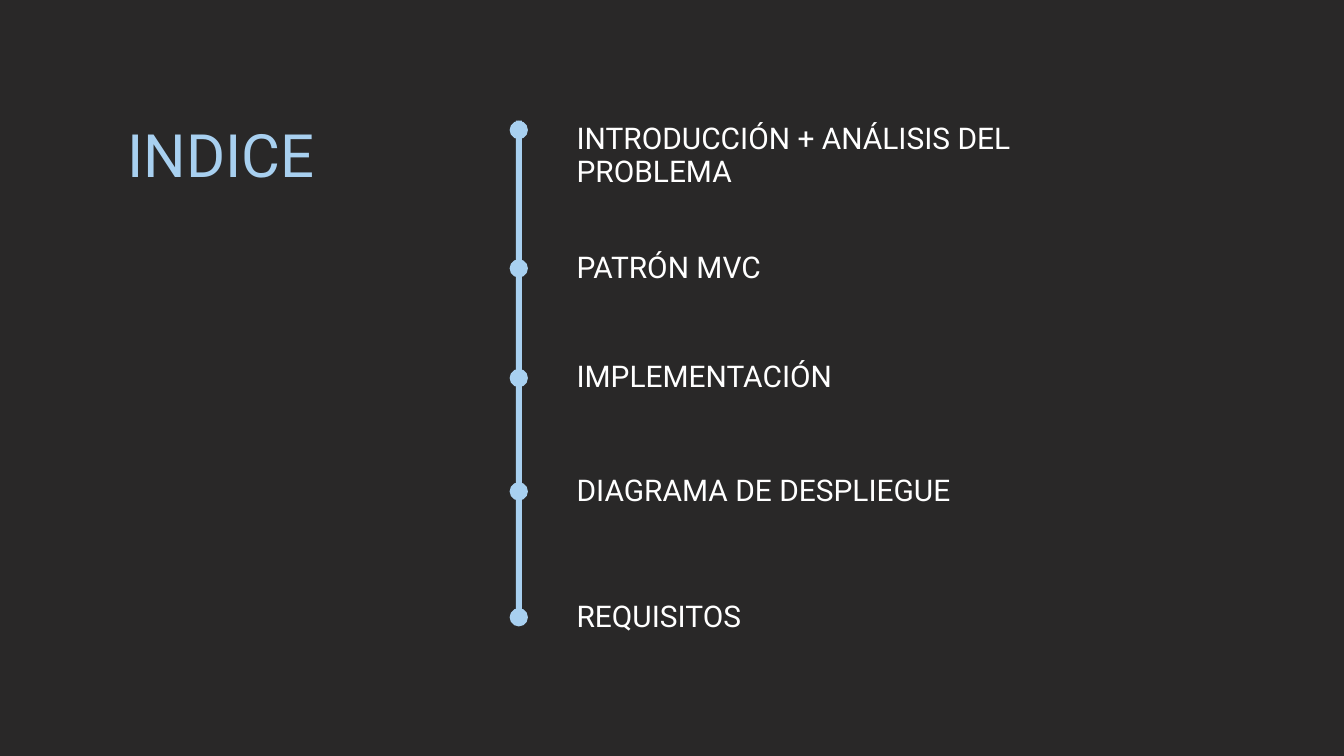
from dataclasses import dataclass

from pptx import Presentation
from pptx import util as u
from pptx.dml.color import RGBColor
from pptx.enum import shapes, text

COLORS = {"background": "292828", "accent": "A8D0F0", "label": "FFFFFF"}
FONT = "Roboto"
WIDTH, HEIGHT = u.Inches(20), u.Inches(11.25)

AXIS_X = 38.6
LABEL_X, LABEL_W, LINE_H = 42.9, 42.3, 4.5
BAR_W, BAR_TOP, BAR_H = 0.45, 15.95, 65.6
DOT_W, DOT_H = 1.36, 2.42


@dataclass
class Stop:
    label: str
    y: float
    lines: int = 1
    drop: float = 0


STOPS = [
    Stop("INTRODUCCIÓN + ANÁLISIS DEL PROBLEMA", 17.2, lines=2, drop=1.25),
    Stop("PATRÓN MVC", 35.5),
    Stop("IMPLEMENTACIÓN", 50),
    Stop("DIAGRAMA DE DESPLIEGUE", 65),
    Stop("REQUISITOS", 81.65),
]


def box(x: float, y: float, w: float, h: float) -> tuple:
    """Turns percentages of the slide into lengths."""
    return (int(WIDTH * x / 100), int(HEIGHT * y / 100),
            int(WIDTH * w / 100), int(HEIGHT * h / 100))


def write(sp, content: str, size: float, color: str) -> None:
    tf = sp.text_frame
    tf.text = content
    tf.word_wrap = True
    tf.auto_size = text.MSO_AUTO_SIZE.NONE
    tf.vertical_anchor = text.MSO_ANCHOR.TOP
    tf.margin_left = tf.margin_right = tf.margin_top = tf.margin_bottom = 0
    p = tf.paragraphs[0]
    p.alignment = text.PP_ALIGN.LEFT
    p.line_spacing = u.Pt(size * 1.1)
    p.space_before = u.Pt(0)
    r = p.runs[0]
    r.font.name = FONT
    r.font.size = u.Pt(size)
    r.font.color.rgb = RGBColor.from_string(COLORS[color])


def add_mark(s, kind, x: float, y: float, w: float, h: float) -> None:
    sp = s.shapes.add_shape(kind, *box(x, y, w, h))
    sp.shadow.inherit = False
    sp.fill.solid()
    sp.fill.fore_color.rgb = RGBColor.from_string(COLORS["accent"])
    sp.line.fill.background()


def add_stop(s, stop: Stop) -> None:
    add_mark(s, shapes.MSO_SHAPE.OVAL,
             AXIS_X - DOT_W / 2, stop.y - DOT_H / 2, DOT_W, DOT_H)
    top = stop.y - LINE_H / 2 + stop.drop
    sp = s.shapes.add_textbox(*box(LABEL_X, top, LABEL_W, LINE_H * stop.lines))
    write(sp, stop.label, 32, "label")


def main() -> None:
    prs = Presentation()
    prs.slide_width, prs.slide_height = WIDTH, HEIGHT
    s = prs.slides.add_slide(prs.slide_layouts[5])
    s.background.fill.solid()
    s.background.fill.fore_color.rgb = RGBColor.from_string(COLORS["background"])

    title = s.shapes.title
    title.left, title.top, title.width, title.height = box(9.5, 16.35, 18.1, 9.15)
    write(title, "INDICE", 64, "accent")

    add_mark(s, shapes.MSO_SHAPE.RECTANGLE,
             AXIS_X - BAR_W / 2, BAR_TOP, BAR_W, BAR_H)
    for stop in STOPS:
        add_stop(s, stop)

    prs.save("out.pptx")


if __name__ == "__main__":
    main()
